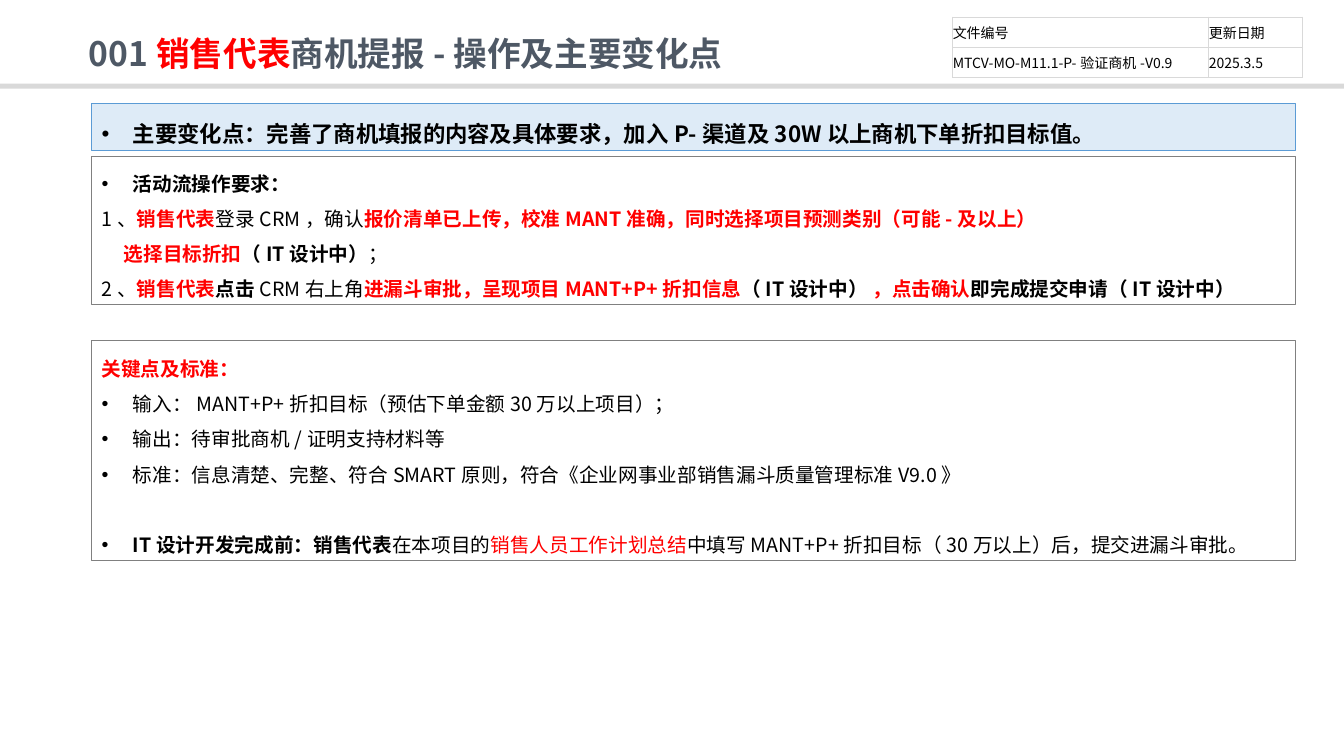
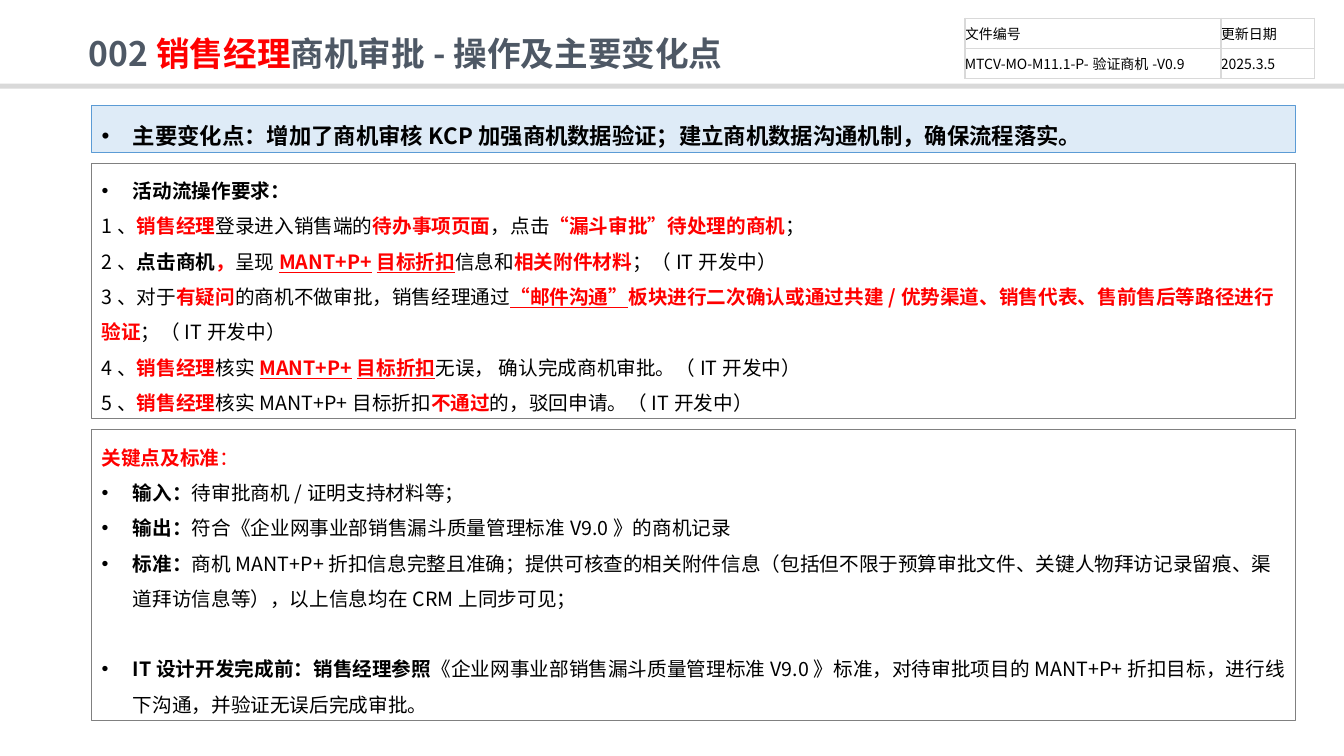
from lxml.etree import SubElement
from pptx import Presentation
from pptx.dml.color import RGBColor
from pptx.enum.shapes import MSO_SHAPE
from pptx.enum.text import MSO_ANCHOR, PP_ALIGN
from pptx.oxml import parse_xml
from pptx.oxml.ns import nsdecls, qn
from pptx.util import Inches, Pt

FONT = "Noto Sans CJK SC"
BLACK = RGBColor(0x00, 0x00, 0x00)
RED = RGBColor(0xFF, 0x00, 0x00)
SLATE = RGBColor(0x4E, 0x58, 0x65)
SILVER = RGBColor(0xD9, 0xD9, 0xD9)
GRAY = RGBColor(0x80, 0x80, 0x80)
BLUE = RGBColor(0x5B, 0x9B, 0xD5)
PALE = RGBColor(0xDE, 0xEB, 0xF7)

WIDTH = 13.33
LEFT, SPAN = 0.91, 11.94
HANG = 0.31
GAP = Pt(25)

# Run styles: b = bold, r = red, u = underlined
STEPS = ("活动流操作要求：", "b")
META = [["文件编号", "更新日期"], ["MTCV-MO-M11.1-P-验证商机-V0.9", "2025.3.5"]]


def style(para, size, color=BLACK, bold=None):
    font = para.font
    font.name, font.size, font.bold = FONT, Pt(size), bold
    font.color.rgb = color
    props = para._p.pPr.find(qn("a:defRPr"))
    SubElement(props, qn("a:ea"), typeface=FONT)


def write(para, runs):
    """Add (text, flags) runs; a bare string is a plain run."""
    for item in runs:
        text, flags = (item, "") if isinstance(item, str) else item
        run = para.add_run()
        run.text = text
        if "b" in flags:
            run.font.bold = True
        if "u" in flags:
            run.font.underline = True
        if "r" in flags:
            run.font.color.rgb = RED


def indent(para, left, bullet=False):
    props = para._p.get_or_add_pPr()
    props.set("marL", str(Inches(left)))
    if bullet:
        props.set("indent", str(-Inches(left)))
        SubElement(props, qn("a:buFont"), typeface="Arial")
        SubElement(props, qn("a:buChar"), char="•")


def plain(*runs):
    return {"runs": runs}


def point(*runs, before=None):
    return {"runs": runs, "left": HANG, "bullet": True, "before": before}


def shift(*runs):
    return {"runs": runs, "left": 0.22}


def rect(slide, left, top, width, height, fill=None, line=None):
    shape = slide.shapes.add_shape(
        MSO_SHAPE.RECTANGLE, Inches(left), Inches(top), Inches(width), Inches(height))
    shape.shadow.inherit = False
    if fill is None:
        shape.fill.background()
    else:
        shape.fill.solid()
        shape.fill.fore_color.rgb = fill
    if line is None:
        shape.line.fill.background()
    else:
        shape.line.color.rgb = line
        shape.line.width = Pt(0.75)
    return shape


def panel(slide, top, height, paras, size=14, fill=None, line=GRAY):
    frame = rect(slide, LEFT, top, SPAN, height, fill, line).text_frame
    frame.word_wrap = True
    frame.vertical_anchor = MSO_ANCHOR.MIDDLE
    for num, data in enumerate(paras):
        para = frame.paragraphs[0] if num == 0 else frame.add_paragraph()
        para.alignment = PP_ALIGN.LEFT
        para.line_spacing = 1.5
        if data.get("before"):
            para.space_before = data["before"]
        if "left" in data:
            indent(para, data["left"], data.get("bullet", False))
        style(para, size)
        write(para, data["runs"])


def banner(slide, top, text):
    panel(slide, top, 0.46, [point((text, "b"))], 16, PALE, BLUE)


def border(cell):
    props = cell._tc.get_or_add_tcPr()
    for num, side in enumerate("LRTB"):
        props.insert(num, parse_xml(
            f'<a:ln{side} {nsdecls("a")} w="12700"><a:solidFill>'
            f'<a:srgbClr val="{SILVER}"/></a:solidFill></a:ln{side}>'))


def stamp(slide, left, top):
    """Add the document number and date table."""
    table = slide.shapes.add_table(
        2, 2, Inches(left), Inches(top), Inches(3.47), Inches(0.6)).table
    table.first_row = table.horz_banding = False
    for col, width in zip(table.columns, (2.54, 0.93)):
        col.width = Inches(width)
    for row, texts in enumerate(META):
        for col, text in enumerate(texts):
            cell = table.cell(row, col)
            cell.margin_left = cell.margin_right = 0
            cell.margin_top = cell.margin_bottom = 0
            cell.vertical_anchor = MSO_ANCHOR.MIDDLE
            cell.fill.background()
            border(cell)
            para = cell.text_frame.paragraphs[0]
            style(para, 10)
            write(para, [text])


def start(deck, code, role, topic):
    """Add a slide with its rule and title."""
    slide = deck.slides.add_slide(deck.slide_layouts[5])
    rect(slide, 0, 0.83, WIDTH, 0.05, SILVER)
    title = slide.shapes.title
    title.left, title.top = Inches(0.78), Inches(0.31)
    title.width, title.height = Inches(7.77), Inches(0.47)
    frame = title.text_frame
    frame.word_wrap = True
    frame.vertical_anchor = MSO_ANCHOR.BOTTOM
    para = frame.paragraphs[0]
    para.alignment = PP_ALIGN.LEFT
    para.line_spacing = 0.9
    style(para, 24, SLATE, True)
    write(para, [code, (role, "r"), topic])
    return slide


def report(deck):
    slide = start(deck, "001", "销售代表", "商机提报-操作及主要变化点")
    stamp(slide, 9.45, 0.17)
    banner(slide, 1.03, "主要变化点：完善了商机填报的内容及具体要求，加入P-渠道及30W以上商机下单折扣目标值。")
    rep = ("销售代表", "br")
    panel(slide, 1.55, 1.47, [
        point(STEPS),
        plain("1、", rep, "登录CRM，确认",
              ("报价清单已上传，校准MANT准确，同时选择项目预测类别（可能-及以上）", "br")),
        shift(("选择目标折扣", "br"), ("（IT设计中）", "b"), "；"),
        plain("2、", rep, ("点击", "b"), "CRM右上角",
              ("进漏斗审批，呈现项目MANT+P+折扣信息", "br"), ("（IT设计中） ", "b"),
              ("，点击确认", "br"), ("即完成提交申请（IT设计中）", "b")),
    ])
    panel(slide, 3.38, 2.18, [
        plain(("关键点及标准：", "br")),
        point("输入：MANT+P+折扣目标（预估下单金额30万以上项目）；"),
        point("输出：待审批商机/证明支持材料等"),
        point("标准：信息清楚、完整、符合SMART原则，符合《企业网事业部销售漏斗质量管理标准V9.0》"),
        point(("IT设计开发完成前：销售代表", "b"), "在本项目的", ("销售人员工作计划总结", "r"),
              "中填写MANT+P+折扣目标（30万以上）后，提交进漏斗审批。", before=GAP),
    ])


def review(deck):
    slide = start(deck, "002", "销售经理", "商机审批-操作及主要变化点")
    stamp(slide, 9.57, 0.18)
    banner(slide, 1.05, "主要变化点：增加了商机审核KCP加强商机数据验证；建立商机数据沟通机制，确保流程落实。")
    boss = ("销售经理", "br")
    goal = ("MANT+P+目标折扣", "bru")
    panel(slide, 1.62, 2.53, [
        point(STEPS),
        plain("1、", boss, "登录进入销售端的", ("待办事项页面", "br"), "，点击",
              ("“漏斗审批”待处理的商机", "br"), "；"),
        plain("2、", ("点击商机", "b"), ("，", "br"), "呈现", goal, "信息和",
              ("相关附件材料", "br"), "；（IT开发中）"),
        plain("3、对于", ("有疑问", "br"), "的商机不做审批，销售经理通过", ("“邮件沟通”", "bru"),
              ("板块进行二次确认或通过共建/优势渠道、销售代表、售前售后等路径进行验证", "br"),
              "；（IT开发中）"),
        plain("4、", boss, "核实", goal, "无误， 确认完成商机审批。（IT开发中）"),
        plain("5、", boss, "核实MANT+P+目标折扣", ("不通过", "br"), "的，驳回申请。（IT开发中）"),
    ])
    panel(slide, 4.26, 2.89, [
        plain(("关键点及标准", "br"), ("：", "r")),
        point(("输入：", "b"), "待审批商机/证明支持材料等；"),
        point(("输出：", "b"), "符合《企业网事业部销售漏斗质量管理标准V9.0》的商机记录"),
        point(("标准：", "b"), "商机MANT+P+折扣信息完整且准确；提供可核查的相关附件信息"
              "（包括但不限于预算审批文件、关键人物拜访记录留痕、渠道拜访信息等），以上信息均在CRM上同步可见；"),
        point(("IT设计开发完成前：销售经理参照", "b"),
              "《企业网事业部销售漏斗质量管理标准V9.0》标准，对待审批项目的MANT+P+折扣目标，"
              "进行线下沟通，并验证无误后完成审批。", before=GAP),
    ])


def main():
    deck = Presentation()
    deck.slide_width, deck.slide_height = Inches(WIDTH), Inches(7.5)
    report(deck)
    review(deck)
    deck.save("out.pptx")


if __name__ == "__main__":
    main()
